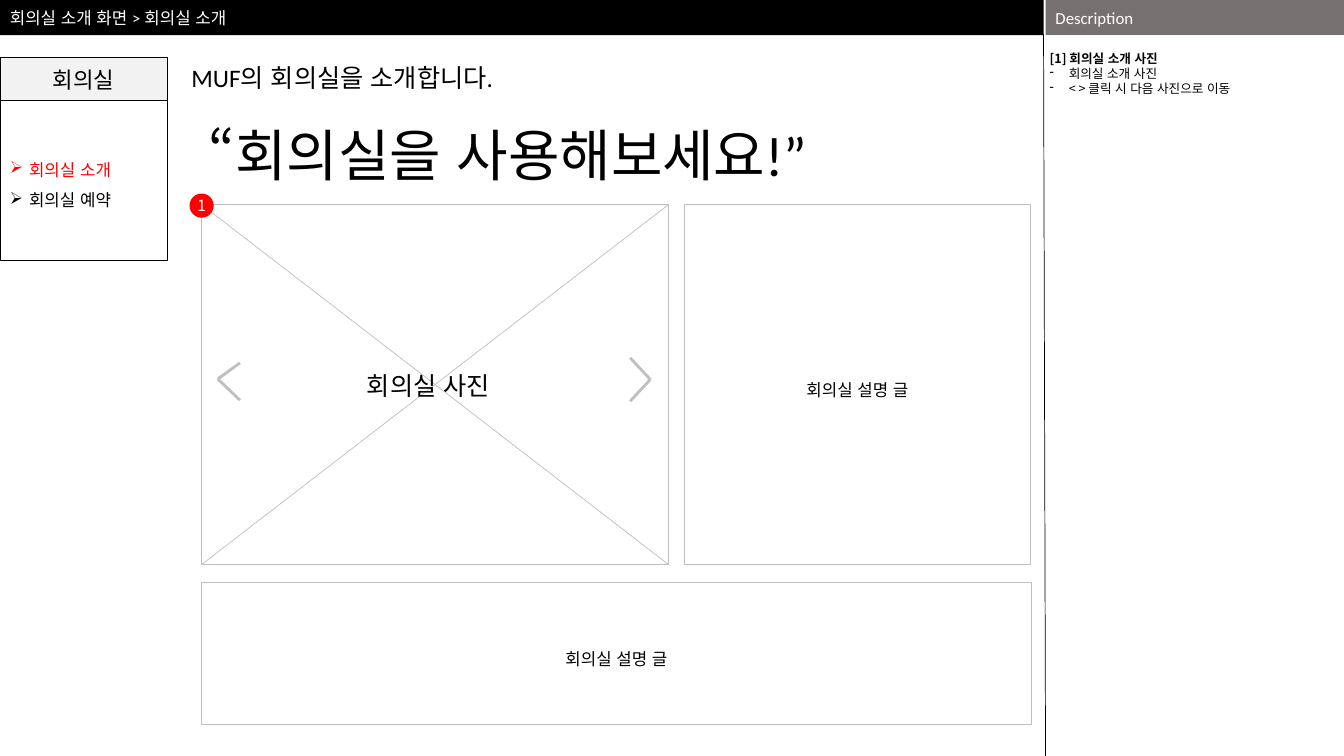
"""Build the meeting room introduction wireframe slide."""
from lxml import etree
from pptx import Presentation
from pptx.dml.color import RGBColor
from pptx.enum.lang import MSO_LANGUAGE_ID
from pptx.enum.shapes import MSO_CONNECTOR, MSO_SHAPE
from pptx.enum.text import MSO_ANCHOR, PP_ALIGN
from pptx.oxml.ns import qn
from pptx.util import Inches, Pt

RECT, OVAL = MSO_SHAPE.RECTANGLE, MSO_SHAPE.OVAL
LINE = MSO_CONNECTOR.STRAIGHT
MID, TOP = MSO_ANCHOR.MIDDLE, MSO_ANCHOR.TOP
LEFT, CENTER = PP_ALIGN.LEFT, PP_ALIGN.CENTER
KOREAN = MSO_LANGUAGE_ID.KOREAN

THEME = {
    "black": "000000", "white": "FFFFFF", "red": "FF0000",
    "dark": "767171", "pale": "F2F2F2", "gray": "BFBFBF",
    "sans": "Calibri", "cjk": "Noto Sans CJK KR",
    "hero": 40, "lead": 18, "head": 16, "body": 12, "tag": 11, "note": 9,
    "thin": 0.5, "edge": 1, "bold": 2,
}

BARS = [
    ((0, 0, 10.35, 0.35), "black", 10.16, "회의실 소개 화면 > 회의실 소개"),
    ((10.37, 0, 2.97, 0.35), "dark", 2.97, "Description"),
]
NOTES = [
    ("[1] 회의실 소개 사진", {"bold": True}),
    ("회의실 소개 사진", {"bullet": "-"}),
    ("< > 클릭 시 다음 사진으로 이동", {"bullet": "-"}),
]
MENU = [
    ("회의실 소개", {"bullet": "➢", "color": "red", "gap": 1.5}),
    ("회의실 예약", {"bullet": "➢", "gap": 1.5}),
]
TITLES = [
    ((1.97, 1.15, 8.26, 0.77), "“회의실을 사용해보세요!”", "hero"),
    ((1.8, 0.57, 8.26, 0.4), "MUF의 회의실을 소개합니다.", "lead"),
]
CARDS = [(6.79, 2.03, 3.43, 3.57), (2, 5.78, 8.23, 1.41)]
CARD = "회의실 설명 글"
PHOTO = (2, 2.03, 4.63, 3.57)
ARROWS = [
    [(2.38, 3.6), (2.16, 3.76), (2.38, 3.97)],
    [(6.25, 3.55), (6.45, 3.765), (6.25, 3.98)],
]


def tint(name):
    return RGBColor.from_string(THEME[name])


def add_box(host, at, fill=None, edge=None, width="edge", kind=RECT):
    box = host.add_shape(kind, *map(Inches, at))
    box.shadow.inherit = False
    if fill:
        box.fill.solid()
        box.fill.fore_color.rgb = tint(fill)
    else:
        box.fill.background()
    if edge:
        box.line.color.rgb = tint(edge)
        box.line.width = Pt(THEME[width])
    else:
        box.line.fill.background()
    return box


def add_line(host, start, end, color, width):
    line = host.add_connector(LINE, *map(Inches, (*start, *end)))
    line.line.color.rgb = tint(color)
    line.line.width = Pt(THEME[width])
    etree.SubElement(line._element.spPr, qn("a:effectLst"))


def add_bullet(para, mark):
    props = para._p.get_or_add_pPr()
    props.set("marL", str(Inches(0.19)))
    props.set("indent", str(-Inches(0.19)))
    etree.SubElement(props, qn("a:buChar")).set("char", mark)


def write(box, rows, size="body", color="black", font="sans",
          align=LEFT, anchor=MID, inset=None, wrap=True):
    frame = box.text_frame
    look = {"word_wrap": wrap, "vertical_anchor": anchor}
    if inset:
        sides = ("margin_left", "margin_top", "margin_right", "margin_bottom")
        look.update(zip(sides, map(Inches, inset)))
    for key, val in look.items():
        setattr(frame, key, val)
    for i, (text, form) in enumerate(rows):
        para = frame.add_paragraph() if i else frame.paragraphs[0]
        para.alignment = align
        if "gap" in form:
            para.line_spacing = form["gap"]
        if "bullet" in form:
            add_bullet(para, form["bullet"])
        run = para.add_run()
        run.text = text
        style = {"name": THEME[font], "size": Pt(THEME[size]),
                 "bold": form.get("bold", False), "language_id": KOREAN}
        for key, val in style.items():
            setattr(run.font, key, val)
        run.font.color.rgb = tint(form.get("color", color))


def add_text(host, at, text, **form):
    write(host.add_textbox(*map(Inches, at)), [(text, {})], **form)


def add_photo(host):
    left, top, width, height = PHOTO
    right, base = left + width, top + height
    add_box(host, PHOTO, edge="gray")
    add_line(host, (left, top), (right, base), "gray", "thin")
    add_line(host, (left, base), (right, top), "gray", "thin")
    add_text(host, (3.54, 3.62, 1.55, 0.4), "회의실 사진",
             size="lead", anchor=TOP)
    for points in ARROWS:
        for start, end in zip(points, points[1:]):
            add_line(host, start, end, "gray", "bold")


def main():
    deck = Presentation()
    deck.slide_width, deck.slide_height = Inches(13.33), Inches(7.5)
    shapes = deck.slides.add_slide(deck.slide_layouts[6]).shapes

    for at, fill, width, text in BARS:
        add_box(shapes, at, fill)
        add_text(shapes, (at[0], at[1], width, at[3]), text, color="white")

    panel = add_box(shapes, (10.37, 0.35, 2.97, 7.15), "white")
    write(panel, NOTES, "note", font="cjk", anchor=TOP,
          inset=(0.04, 0.15, 0.04, 0))

    menu = add_box(shapes, (0, 0.99, 1.66, 1.59), None, "black", "thin")
    write(menu, MENU)
    head = add_box(shapes, (0, 0.57, 1.66, 0.43), "pale", "black", "thin")
    write(head, [("회의실", {})], "head", align=CENTER)

    for at, text, size in TITLES:
        add_text(shapes, at, text, size=size, anchor=TOP)
    for at in CARDS:
        write(add_box(shapes, at, edge="gray"), [(CARD, {"gap": 1.5})],
              align=CENTER)

    add_photo(shapes.add_group_shape().shapes)
    add_line(shapes, (10.35, 0.34), (10.37, 7.5), "black", "thin")
    badge = add_box(shapes, (1.88, 1.92, 0.24, 0.24), "red", kind=OVAL)
    write(badge, [("1", {})], "tag", "white", "cjk", CENTER,
          inset=(0, 0, 0, 0), wrap=False)

    deck.save("out.pptx")


if __name__ == "__main__":
    main()
